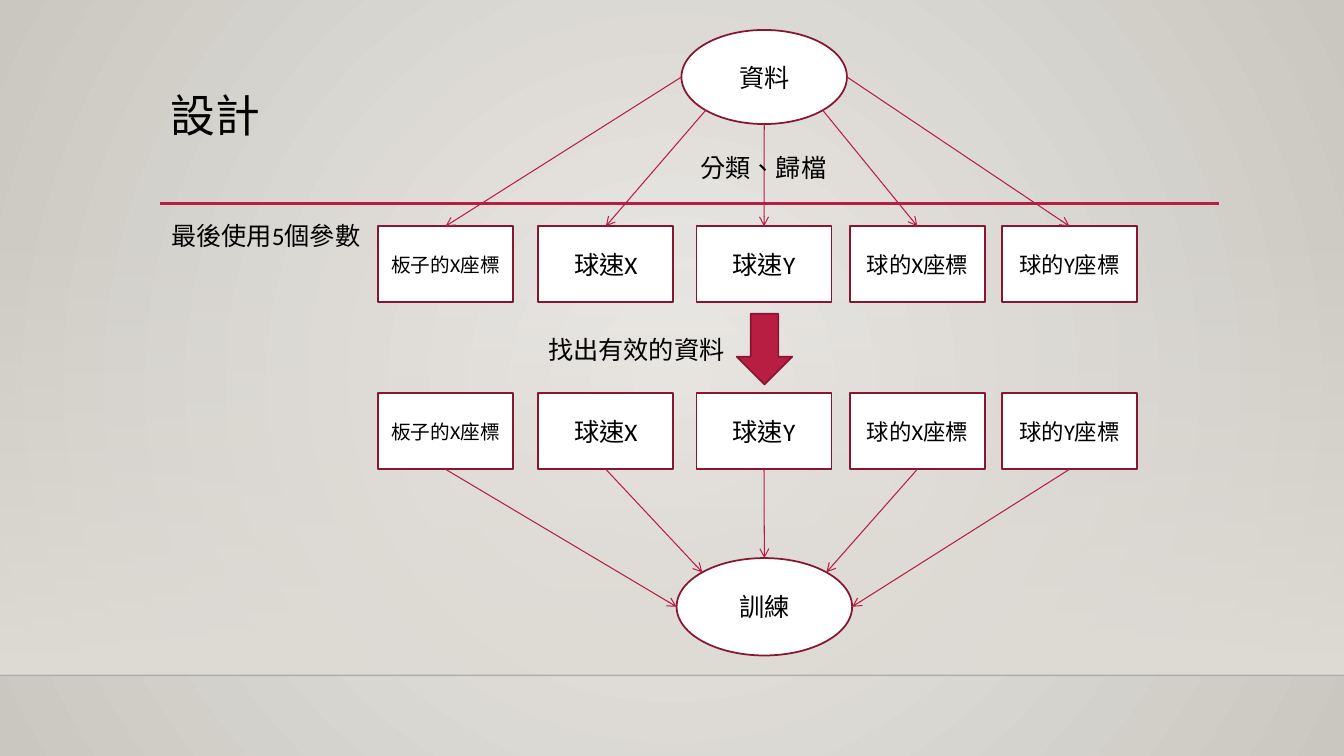
from math import cos, radians, sin

from lxml import etree
from pptx import Presentation
from pptx.dml.color import RGBColor
from pptx.enum.lang import MSO_LANGUAGE_ID
from pptx.enum.shapes import MSO_CONNECTOR, MSO_SHAPE
from pptx.enum.text import MSO_ANCHOR, PP_ALIGN
from pptx.oxml.ns import qn
from pptx.util import Pt

RECTANGLE, OVAL, DOWN_ARROW = MSO_SHAPE.RECTANGLE, MSO_SHAPE.OVAL, MSO_SHAPE.DOWN_ARROW
STRAIGHT = MSO_CONNECTOR.STRAIGHT
TOP, MIDDLE = MSO_ANCHOR.TOP, MSO_ANCHOR.MIDDLE
LEFT, CENTER = PP_ALIGN.LEFT, PP_ALIGN.CENTER
CHINESE = MSO_LANGUAGE_ID.TRADITIONAL_CHINESE

COLORS = {
    "text": "000000", "white": "FFFFFF", "accent": "B71E42", "outline": "871631",
    "light": "ECEAE7", "dark": "CAC7C1", "wall": "DFDBD5", "floor_line": "000001",
}
FONT = "Calibri"
WIDTH, HEIGHT = 960, 540

TITLE = ("設計", (114.5, 63.4, 756, 82.8))
PARAMETERS = [
    ("板子的X座標", 14, 270),
    ("球速X", 18, 384.5),
    ("球速Y", 18, 497.5),
    ("球的X座標", 16, 607),
    ("球的Y座標", 16, 715.7),
]
BOX_WIDTH, BOX_HEIGHT = 96.5, 54.4
ROW_TOPS = {"classified": 161.6, "valid": 280.8}
DATA = ("資料", (486.8, 21.4, 118.2, 67.2))
TRAINING = ("訓練", (483.3, 398.6, 125.4, 69.6))
FLOW_ARROW = (526.3, 224.2, 39.6, 50.4)
LABELS = [
    ("最後使用5個參數", (115.2, 154.1, 154.8, 28.8), True),
    ("分類、歸檔", (493.2, 105.5, 105.1, 28.8), False),
    ("找出有效的資料", (384.5, 235.5, 141.8, 28.8), False),
]
FAN_ANGLES = (180, 135, 90, 45, 0)

presentation = Presentation()
presentation.slide_width, presentation.slide_height = Pt(WIDTH), Pt(HEIGHT)
slide = presentation.slides.add_slide(presentation.slide_layouts[5])


def rgb(name):
    return RGBColor.from_string(COLORS[name])


def write(shape, text, size=18, align=CENTER, anchor=MIDDLE, wrap=True, spacing=1.0):
    frame = shape.text_frame
    frame.word_wrap = wrap
    frame.vertical_anchor = anchor
    paragraph = frame.paragraphs[0]
    paragraph.alignment = align
    paragraph.line_spacing = spacing
    run = paragraph.add_run()
    run.text = text
    run.font.name = FONT
    run.font.size = Pt(size)
    run.font.color.rgb = rgb("text")
    run.font.language_id = CHINESE


def add_shape(kind, bounds, fill="white", line="outline"):
    shape = slide.shapes.add_shape(kind, *map(Pt, bounds))
    shape.shadow.inherit = False
    shape.fill.solid()
    shape.fill.fore_color.rgb = rgb(fill)
    if line:
        shape.line.color.rgb = rgb(line)
        shape.line.width = Pt(1.25)
    else:
        shape.line.fill.background()
    return shape


def add_line(start, end, color="accent", width=0.75, arrow=False):
    connector = slide.shapes.add_connector(STRAIGHT, *map(Pt, (*start, *end)))
    connector.line.color.rgb = rgb(color)
    connector.line.width = Pt(width)
    if arrow:
        etree.SubElement(connector.line._get_or_add_ln(), qn("a:tailEnd"), type="arrow")
    etree.SubElement(connector._element.spPr, qn("a:effectLst"))
    return connector


def set_alpha(color_element, percent):
    etree.SubElement(color_element, qn("a:alpha"), val=str(percent * 1000))


def set_gradient(properties, stops, radial=False):
    gradient = etree.Element(qn("a:gradFill"), rotWithShape="1")
    stop_list = etree.SubElement(gradient, qn("a:gsLst"))
    for position, color, alpha in stops:
        stop = etree.SubElement(stop_list, qn("a:gs"), pos=str(position * 1000))
        color_element = etree.SubElement(stop, qn("a:srgbClr"), val=COLORS[color])
        if alpha < 100:
            set_alpha(color_element, alpha)
    if radial:
        direction = etree.SubElement(gradient, qn("a:path"), path="circle")
        center = {side: "50000" for side in "ltrb"}
        etree.SubElement(direction, qn("a:fillToRect"), **center)
    else:
        etree.SubElement(gradient, qn("a:lin"), ang="5400000", scaled="0")
    properties.replace(properties.find(qn("a:solidFill")), gradient)


def fan_points(bounds, direction):
    left, top, width, height = bounds
    return [
        (left + width / 2 * (1 + cos(radians(angle))),
         top + height / 2 * (1 + direction * sin(radians(angle))))
        for angle in FAN_ANGLES
    ]


slide.background.fill.solid()
set_gradient(slide.element.find(".//" + qn("p:bgPr")),
             [(0, "light", 100), (100, "dark", 100)], radial=True)
wall = add_shape(RECTANGLE, (0, 159, WIDTH, 323.4), fill="wall", line=None)
set_gradient(wall._element.spPr, [(0, "wall", 0), (100, "wall", 100)])
floor_line = add_line((0, 482.4), (WIDTH, 482.4), color="floor_line", width=1)
set_alpha(floor_line._element.find(".//" + qn("a:srgbClr")), 20)
add_line((114.5, 145.3), (871, 145.3), width=2.5)

title_text, title_bounds = TITLE
title = slide.shapes.title
title.left, title.top, title.width, title.height = map(Pt, title_bounds)
write(title, title_text, size=32, align=LEFT, anchor=TOP, spacing=0.9)

for text, bounds in (DATA, TRAINING):
    write(add_shape(OVAL, bounds), text)

for top in ROW_TOPS.values():
    for text, size, left in PARAMETERS:
        write(add_shape(RECTANGLE, (left, top, BOX_WIDTH, BOX_HEIGHT)), text, size=size)

add_shape(DOWN_ARROW, FLOW_ARROW, fill="accent")

data_points = fan_points(DATA[1], 1)
training_points = fan_points(TRAINING[1], -1)
for (_, _, left), source, target in zip(PARAMETERS, data_points, training_points):
    center = left + BOX_WIDTH / 2
    add_line(source, (center, ROW_TOPS["classified"]), arrow=True)
    add_line((center, ROW_TOPS["valid"] + BOX_HEIGHT), target, arrow=True)

for text, bounds, wrap in LABELS:
    label = slide.shapes.add_textbox(*map(Pt, bounds))
    write(label, text, align=LEFT, anchor=TOP, wrap=wrap)

presentation.save("out.pptx")
